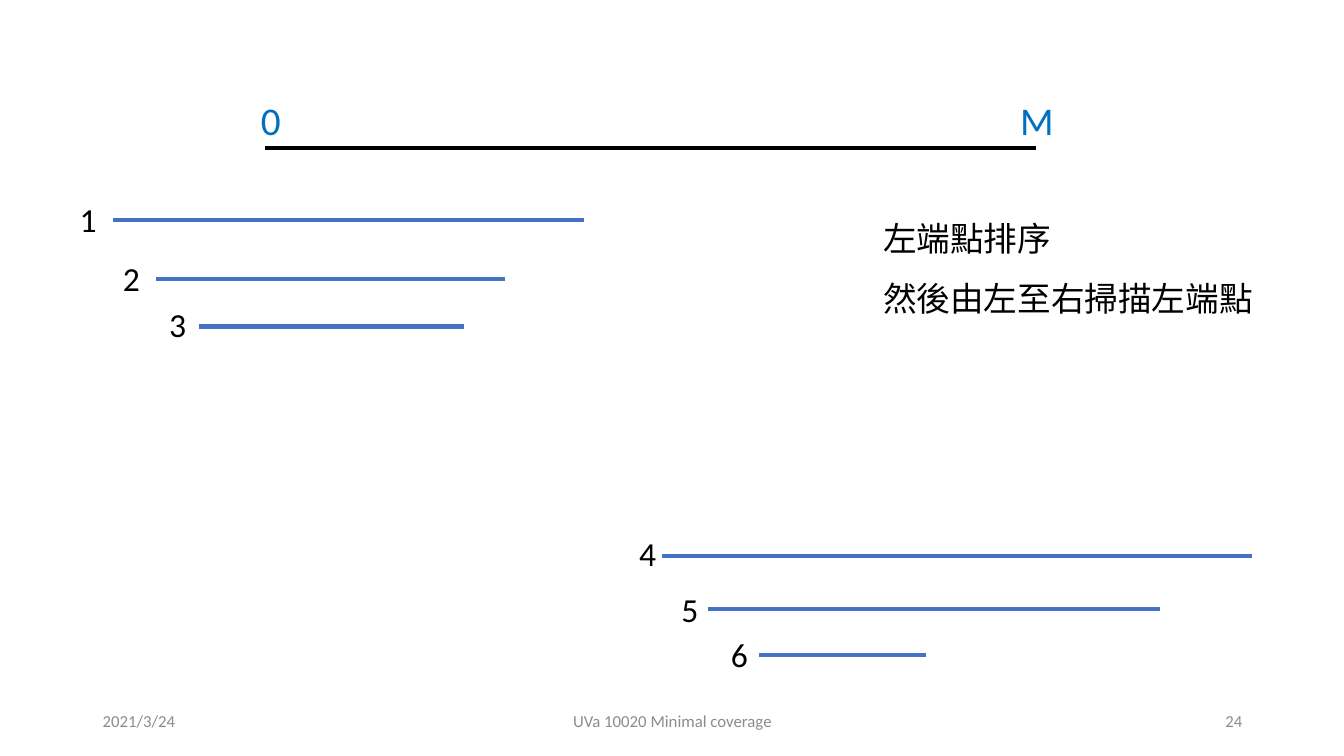
"""Build the slide on sorting intervals by left endpoint for minimal coverage."""
from lxml.etree import SubElement
from pptx import Presentation
from pptx.dml.color import RGBColor
from pptx.enum.shapes import MSO_CONNECTOR
from pptx.enum.text import MSO_ANCHOR, PP_ALIGN
from pptx.oxml.ns import qn
from pptx.util import Inches, Pt

BLACK = RGBColor(0x00, 0x00, 0x00)
BLUE = RGBColor(0x44, 0x72, 0xC4)
END_BLUE = RGBColor(0x00, 0x70, 0xC0)
GREY = RGBColor(0x8C, 0x8C, 0x8C)
LATIN = "Calibri"
CJK = "Noto Sans CJK SC"

# left, right, height of line, left and top of number
INTERVALS = [
    (1.12, 5.79, 2.18, 0.69, 1.92),
    (1.55, 5.01, 2.77, 1.12, 2.51),
    (1.97, 4.60, 3.24, 1.58, 2.97),
    (6.57, 12.42, 5.52, 6.24, 5.24),
    (7.02, 11.51, 6.04, 6.66, 5.79),
    (7.53, 9.18, 6.50, 7.15, 6.24),
]
TARGET = (2.63, 10.28, 1.47)
TARGET_ENDS = [("0", 2.49), ("M", 10.02)]
STEPS = [("左端點排序", 2.11, 2.07), ("然後由左至右掃描左端點", 2.71, 4.02)]
FOOTER = [
    ("2021/3/24", 0.92, 3, PP_ALIGN.LEFT),
    ("UVa 10020 Minimal coverage", 4.42, 4.5, PP_ALIGN.CENTER),
    ("24", 9.42, 3, PP_ALIGN.RIGHT),
]


def add_label(slide, text, box, size, color=BLACK, face=LATIN,
              align=PP_ALIGN.LEFT, anchor=MSO_ANCHOR.TOP):
    """Add one line of text in a box given in inches."""
    frame = slide.shapes.add_textbox(*map(Inches, box)).text_frame
    frame.word_wrap = True
    frame.vertical_anchor = anchor
    paragraph = frame.paragraphs[0]
    paragraph.text = text
    paragraph.alignment = align
    font = paragraph.font
    font.size = Pt(size)
    font.name = face
    font.color.rgb = color
    if face == CJK:
        defaults = paragraph._p.pPr.find(qn("a:defRPr"))
        SubElement(defaults, qn("a:ea")).set("typeface", face)


def add_segment(slide, left, right, height, color):
    """Add a horizontal segment."""
    segment = slide.shapes.add_connector(
        MSO_CONNECTOR.STRAIGHT, Inches(left), Inches(height), Inches(right), Inches(height))
    segment.line.color.rgb = color
    segment.line.width = Pt(3)
    SubElement(segment._element.spPr, qn("a:effectLst"))


def main():
    """Assemble and save the slide."""
    deck = Presentation()
    deck.slide_width, deck.slide_height = Inches(13.33), Inches(7.5)
    slide = deck.slides.add_slide(deck.slide_layouts[6])

    for text, left, width, align in FOOTER:
        add_label(slide, text, (left, 6.95, width, 0.4), 12, GREY,
                  align=align, anchor=MSO_ANCHOR.MIDDLE)

    add_segment(slide, *TARGET, BLACK)
    for text, left in TARGET_ENDS:
        add_label(slide, text, (left, 0.91, 0.53, 0.57), 28, END_BLUE)

    for number, (left, right, height, label_left, label_top) in enumerate(INTERVALS, 1):
        add_segment(slide, left, right, height, BLUE)
        add_label(slide, str(number), (label_left, label_top, 0.42, 0.5), 24)

    for text, top, width in STEPS:
        add_label(slide, text, (8.66, top, width, 0.5), 24, face=CJK)

    deck.save("out.pptx")


if __name__ == "__main__":
    main()
